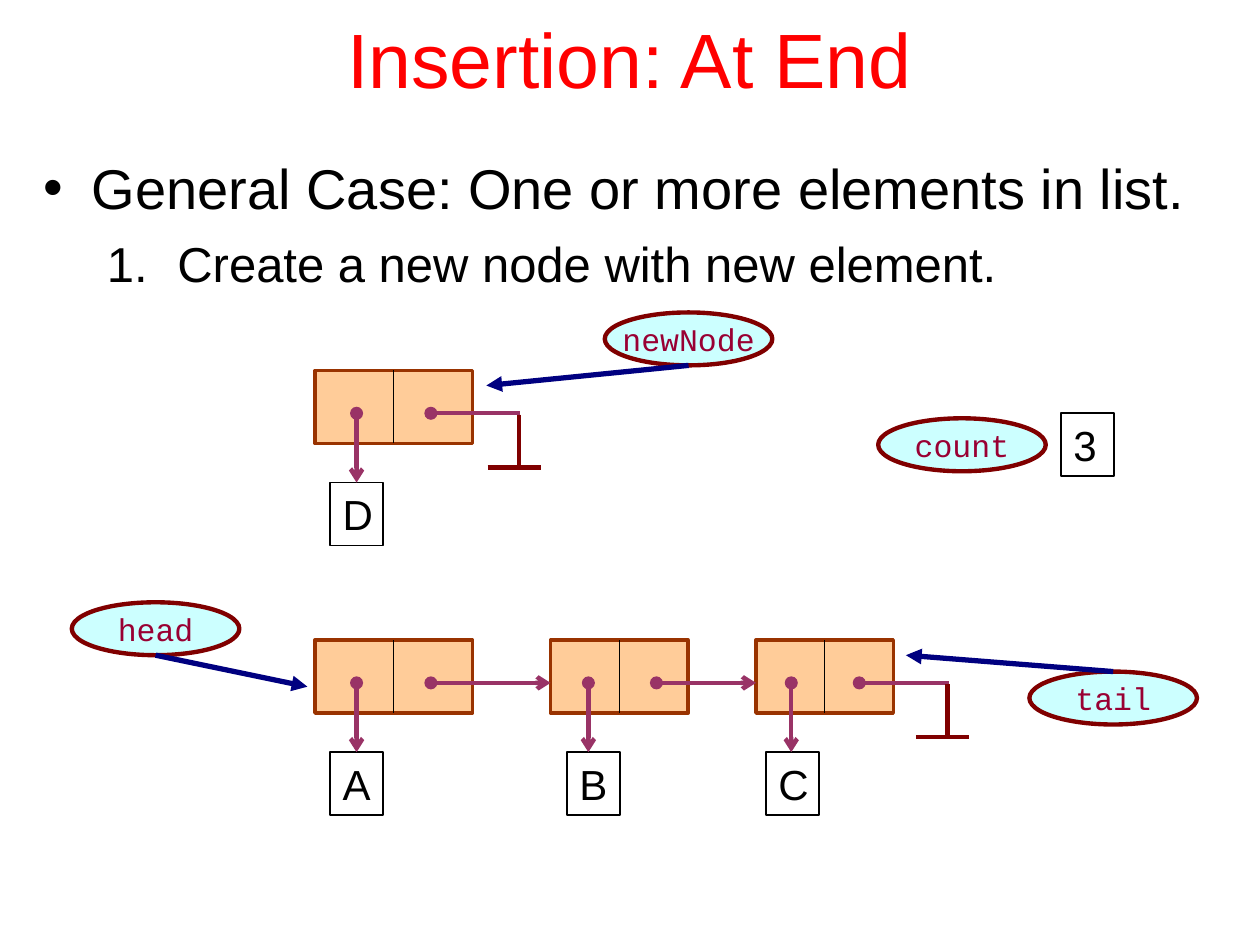
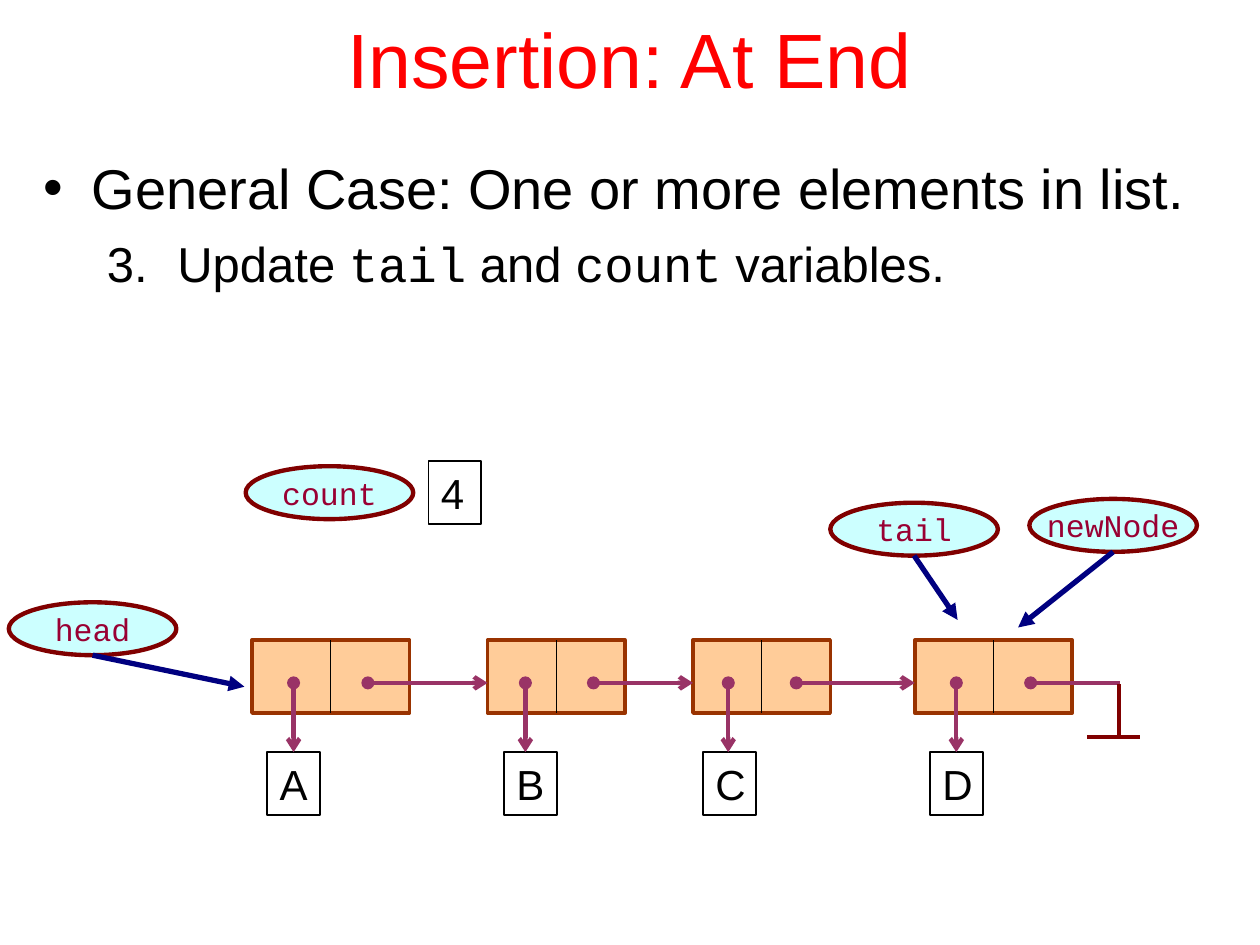
from dataclasses import dataclass

from lxml import etree
from pptx import Presentation
from pptx import util as u
from pptx.dml.color import RGBColor
from pptx.enum import shapes, text
from pptx.oxml import ns

# Grid: 10 columns by 7.5 rows of square cells
COLUMNS, ROWS = 10, 7.5
CELL = u.Inches(1)

RED = RGBColor(0xFF, 0x00, 0x00)
BLACK = RGBColor(0x00, 0x00, 0x00)
PEACH = RGBColor(0xFF, 0xCC, 0x99)
BROWN = RGBColor(0x99, 0x33, 0x00)
PLUM = RGBColor(0x99, 0x33, 0x66)
MAROON = RGBColor(0x80, 0x00, 0x00)
PALE_CYAN = RGBColor(0xCC, 0xFF, 0xFF)
CRIMSON = RGBColor(0x99, 0x00, 0x33)
NAVY = RGBColor(0x00, 0x00, 0x80)

SANS, MONO = "Arial", "Courier New"
NODE_HEIGHT = 0.58
DOT_Y = 0.34
LETTER_Y = 0.89
LETTER_SIZE = (0.42, 0.5)
OVAL_SIZE = (1.33, 0.42)


@dataclass
class Node:
    """A list node; all offsets are columns from the left of its chain or node."""
    letter: str
    left: float = 0
    width: float = 1.25
    data: float = 0.33
    link: float = 0.92
    letter_left: float = 0.12


NODE_A = Node("A")
NODE_B = Node("B", left=1.87, width=1.09, data=0.3, link=0.84, letter_left=0.13)
NODE_C = Node("C", left=3.5, width=1.09, data=0.28, link=0.82, letter_left=0.08)


def cells(*lengths):
    return [round(length * CELL) for length in lengths]


def write(paragraph, content, font=SANS, size=24, color=BLACK,
          align=text.PP_ALIGN.LEFT, before=0):
    """Write a string, or a list of (string, font) pieces, into a paragraph."""
    paragraph.alignment = align
    paragraph.space_before = u.Pt(before)
    pieces = [(content, font)] if isinstance(content, str) else content
    for words, face in pieces:
        run = paragraph.add_run()
        run.text = words
        run.font.name = face
        run.font.size = u.Pt(size)
        run.font.color.rgb = color


def add_marker(paragraph, margin, hanging, tag, **attributes):
    """Give a paragraph a bullet or a number with a hanging indent."""
    properties = paragraph._p.get_or_add_pPr()
    properties.set("marL", str(round(margin * CELL)))
    properties.set("indent", str(round(-hanging * CELL)))
    if tag == "a:buChar":
        etree.SubElement(properties, ns.qn("a:buFont"), typeface=SANS)
    etree.SubElement(properties, ns.qn(tag), **attributes)


def add_line(slide, start, end, color=PLUM, width=2.5, head=None, tail=None):
    line = slide.shapes.add_connector(
        shapes.MSO_CONNECTOR.STRAIGHT, *cells(*start, *end))
    line.line.color.rgb = color
    line.line.width = u.Pt(width)
    for tag, kind in (("a:headEnd", head), ("a:tailEnd", tail)):
        if kind:
            etree.SubElement(line.line._ln, ns.qn(tag), type=kind)
    etree.SubElement(line._element.spPr, ns.qn("a:effectLst"))


def add_box(slide, kind, box, outline, width, fill=None):
    shape = slide.shapes.add_shape(kind, *cells(*box))
    shape.shadow.inherit = False
    if fill is None:
        shape.fill.background()
    else:
        shape.fill.solid()
        shape.fill.fore_color.rgb = fill
    shape.line.color.rgb = outline
    shape.line.width = u.Pt(width)
    return shape


def letter_box(slide, left, top, letter):
    box = add_box(slide, shapes.MSO_SHAPE.RECTANGLE,
                  (left, top, *LETTER_SIZE), BLACK, 1)
    box.text_frame.vertical_anchor = text.MSO_ANCHOR.TOP
    write(box.text_frame.paragraphs[0], letter)


def pointer(slide, left, top, name, target=None, from_top=False):
    """A named oval, with an arrow to its target if it has one."""
    width, height = OVAL_SIZE
    oval = add_box(slide, shapes.MSO_SHAPE.OVAL,
                   (left, top, width, height), MAROON, 2.5, PALE_CYAN)
    oval.text_frame.word_wrap = False
    oval.text_frame.vertical_anchor = text.MSO_ANCHOR.MIDDLE
    write(oval.text_frame.paragraphs[0], name, font=MONO, size=18,
          color=CRIMSON, align=text.PP_ALIGN.CENTER)
    if target:
        start = (left + width / 2, top if from_top else top + height)
        add_line(slide, start, target, NAVY, 3, tail="triangle")


def counter(slide, left, top, value):
    letter_box(slide, left + 1.45, top - 0.04, value)
    pointer(slide, left, top, "count")


def null_link(slide, x, y):
    """The grounded link that ends a chain."""
    add_line(slide, (x, y), (x + 0.71, y), head="oval")
    add_line(slide, (x + 0.7, y + 0.01), (x + 0.7, y + 0.43), MAROON)
    add_line(slide, (x + 0.45, y + 0.43), (x + 0.87, y + 0.43), MAROON)


def chain(slide, left, top, nodes):
    """Linked nodes in a row, the last one with a null link."""
    dot_y = top + DOT_Y
    for node in nodes:
        x = left + node.left
        middle = x + node.width / 2
        add_box(slide, shapes.MSO_SHAPE.RECTANGLE,
                (x, top, node.width, NODE_HEIGHT), BROWN, 2, PEACH)
        add_line(slide, (middle, top), (middle, top + NODE_HEIGHT), BLACK, 0.75)
        letter_box(slide, x + node.letter_left, top + LETTER_Y, node.letter)
        add_line(slide, (x + node.data, dot_y),
                 (x + node.data, top + LETTER_Y), head="oval", tail="arrow")
    # Links go on top of all nodes
    for node, following in zip(nodes, nodes[1:]):
        add_line(slide, (left + node.left + node.link, dot_y),
                 (left + following.left, dot_y), head="oval", tail="arrow")
    null_link(slide, left + nodes[-1].left + nodes[-1].link, dot_y)


def heading(slide, box):
    frame = slide.shapes.add_textbox(*cells(*box)).text_frame
    frame.word_wrap = True
    frame.vertical_anchor = text.MSO_ANCHOR.MIDDLE
    write(frame.paragraphs[0], "Insertion: At End", size=44, color=RED,
          align=text.PP_ALIGN.CENTER)


def step_text(slide, box, number, step):
    frame = slide.shapes.add_textbox(*cells(*box)).text_frame
    frame.word_wrap = True
    case = frame.paragraphs[0]
    add_marker(case, 0.38, 0.38, "a:buChar", char="•")
    write(case, "General Case: One or more elements in list.", size=32)
    numbered = frame.add_paragraph()
    numbered.level = 1
    add_marker(numbered, 1.06, 0.56, "a:buAutoNum",
               type="arabicPeriod", startAt=str(number))
    write(numbered, step, size=28, before=7)


def step_slide(deck, number, step, text_height):
    slide = deck.slides.add_slide(deck.slide_layouts[6])
    heading(slide, (0.75, -0.17, 8.5, 1.25))
    step_text(slide, (0.25, 1.17, 9.5, text_height), number, step)
    return slide


def create_node_slide(deck):
    slide = step_slide(deck, 1, "Create a new node with new element.", 1.84)
    # Existing list
    chain(slide, 2.5, 5.08, [NODE_A, NODE_B, NODE_C])
    pointer(slide, 0.57, 4.78, "head", (2.44, 5.45))
    pointer(slide, 8.17, 5.33, "tail", (7.19, 5.2), from_top=True)
    # Separate new node
    chain(slide, 2.5, 2.94, [Node("D")])
    pointer(slide, 4.8, 2.48, "newNode", (3.86, 3.06))
    counter(slide, 6.97, 3.32, "3")


def update_variables_slide(deck):
    step = [("Update ", SANS), ("tail", MONO), (" and ", SANS),
            ("count", MONO), (" variables.", SANS)]
    slide = step_slide(deck, 3, step, 1.3)
    # Extended list
    chain(slide, 2, 5.08, [NODE_A, NODE_B, NODE_C, Node("D", left=5.26)])
    pointer(slide, 0.07, 4.78, "head", (1.94, 5.45))
    pointer(slide, 6.59, 3.99, "tail", (7.6, 4.92))
    pointer(slide, 8.17, 3.96, "newNode", (8.08, 4.98))
    counter(slide, 1.95, 3.7, "4")


def main():
    deck = Presentation()
    deck.slide_width, deck.slide_height = cells(COLUMNS, ROWS)
    create_node_slide(deck)
    update_variables_slide(deck)
    deck.save("out.pptx")


if __name__ == "__main__":
    main()
